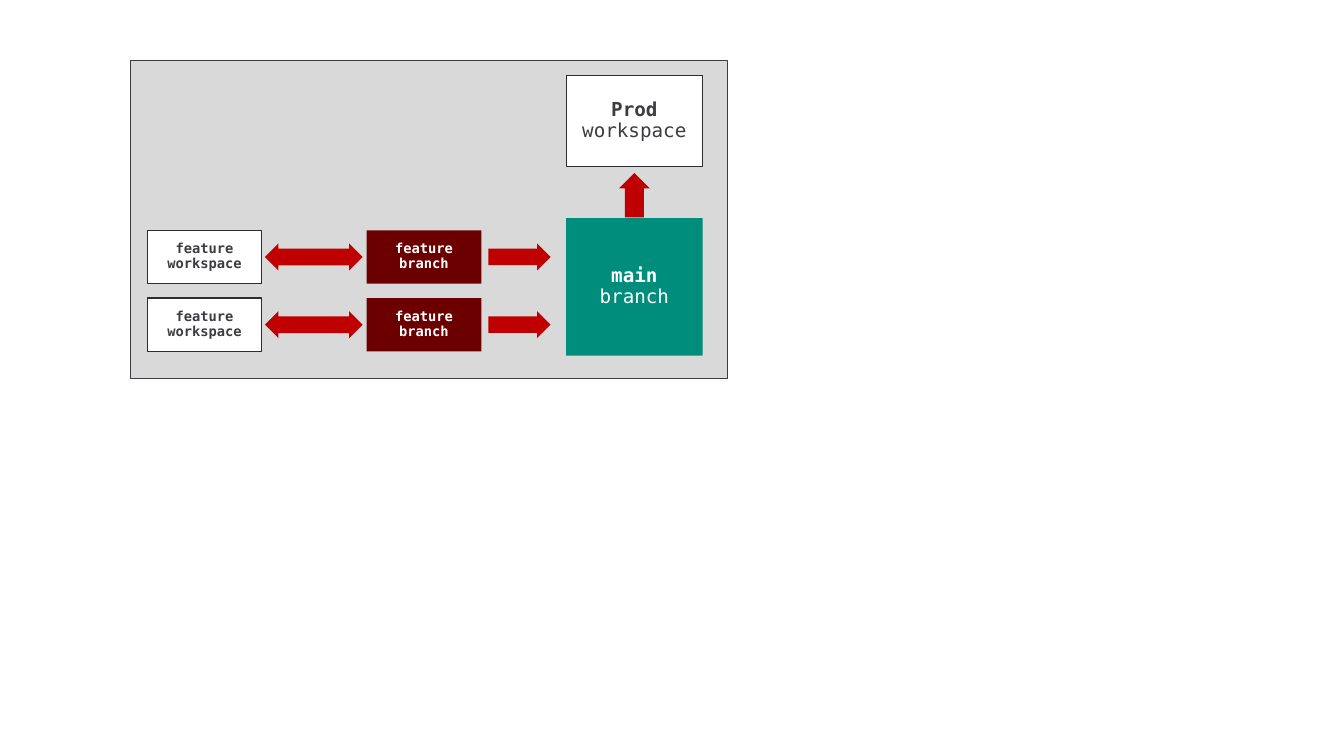
"""Build a slide showing how feature branches flow through main to production."""
import pptx
import pptx.dml.color
import pptx.enum.shapes
import pptx.enum.text
import pptx.util

Cm = pptx.util.Cm
Pt = pptx.util.Pt
RGBColor = pptx.dml.color.RGBColor
SHAPE = pptx.enum.shapes.MSO_SHAPE

WHITE = RGBColor(0xFF, 0xFF, 0xFF)
GREY = RGBColor(0xD9, 0xD9, 0xD9)
INK = RGBColor(0x3C, 0x3C, 0x41)
BORDER = RGBColor(0x2D, 0x2D, 0x31)
RED = RGBColor(0xC0, 0x00, 0x00)
MAROON = RGBColor(0x6C, 0x00, 0x00)
TEAL = RGBColor(0x00, 0x8D, 0x7B)

FONT = "DejaVu Sans Mono"
SLIDE_SIZE = (34.54, 19.43)
PANEL = (3.35, 1.55, 15.34, 8.18)

WORKSPACE = {"fill": WHITE, "line": BORDER, "ink": INK}
FEATURE_BRANCH = {"fill": MAROON, "line": None, "ink": WHITE}
MAIN_BRANCH = {"fill": TEAL, "line": None, "ink": WHITE}

FEATURE_ROWS = 2
FEATURE_TOP, FEATURE_PITCH = 5.92, 1.74
FEATURE_SIZE = (2.95, 1.37)
FEATURE_BOXES = [
    (3.78, ("feature", "workspace"), WORKSPACE),
    (9.42, ("feature", "branch"), FEATURE_BRANCH),
]
FEATURE_ARROW_HEIGHT = 0.69
FEATURE_ARROWS = [
    (6.81, 2.51, SHAPE.LEFT_RIGHT_ARROW, 0.626),
    (12.55, 1.6, SHAPE.RIGHT_ARROW, 0.614),
]

RELEASE_LEFT, RELEASE_WIDTH = 14.55, 3.51
RELEASE_BOXES = [
    (5.61, 3.53, ("main", "branch"), MAIN_BRANCH),
    (1.93, 2.36, ("Prod", "workspace"), WORKSPACE),
]
RELEASE_ARROW_TOP, RELEASE_ARROW_SIZE = 4.62, (1.14, 0.79)


def add_block(page, kind, area, fill, line=None):
    """Add a flat shape with an optional thin outline."""
    block = page.shapes.add_shape(kind, *map(Cm, area))
    block.shadow.inherit = False
    block.fill.solid()
    block.fill.fore_color.rgb = fill
    if line is None:
        block.line.fill.background()
    else:
        block.line.color.rgb = line
        block.line.width = Pt(0.75)
    return block


def add_box(page, area, words, style, size, bold_flags):
    """Add a labelled rectangle with one centred paragraph per word."""
    box = add_block(page, SHAPE.RECTANGLE, area, style["fill"], style["line"])
    frame = box.text_frame
    frame_format = {
        "margin_left": 0, "margin_top": 0, "margin_right": 0, "margin_bottom": 0,
        "word_wrap": True,
        "vertical_anchor": pptx.enum.text.MSO_ANCHOR.MIDDLE,
    }
    for name, value in frame_format.items():
        setattr(frame, name, value)
    for index, (word, bold) in enumerate(zip(words, bold_flags)):
        para = frame.add_paragraph() if index else frame.paragraphs[0]
        para.alignment = pptx.enum.text.PP_ALIGN.CENTER
        para.line_spacing = 0.9
        span = para.add_run()
        span.text = word
        for name, value in {"name": FONT, "size": Pt(size), "bold": bold}.items():
            setattr(span.font, name, value)
        span.font.color.rgb = style["ink"]


def add_arrow(page, area, kind, thickness):
    """Add a red block arrow with the given shaft thickness."""
    arrow = add_block(page, kind, area, RED)
    arrow.adjustments[0] = thickness
    arrow.adjustments[1] = 0.5
    return arrow


def main():
    """Lay out the branch diagram and save the deck."""
    deck = pptx.Presentation()
    deck.slide_width, deck.slide_height = map(Cm, SLIDE_SIZE)
    page = deck.slides.add_slide(deck.slide_layouts.get_by_name("Blank"))
    add_block(page, SHAPE.RECTANGLE, PANEL, GREY, INK)

    for row in range(FEATURE_ROWS):
        top = FEATURE_TOP + row * FEATURE_PITCH
        for left, words, style in FEATURE_BOXES:
            add_box(page, (left, top, *FEATURE_SIZE), words, style, 10, (True, True))
        arrow_top = top + (FEATURE_SIZE[1] - FEATURE_ARROW_HEIGHT) / 2
        for left, width, kind, thickness in FEATURE_ARROWS:
            area = (left, arrow_top, width, FEATURE_ARROW_HEIGHT)
            add_arrow(page, area, kind, thickness)

    for top, height, words, style in RELEASE_BOXES:
        area = (RELEASE_LEFT, top, RELEASE_WIDTH, height)
        add_box(page, area, words, style, 14, (True, False))
    arrow_left = RELEASE_LEFT + (RELEASE_WIDTH - RELEASE_ARROW_SIZE[0]) / 2
    area = (arrow_left, RELEASE_ARROW_TOP, *RELEASE_ARROW_SIZE)
    add_arrow(page, area, SHAPE.RIGHT_ARROW, 0.614).rotation = 270

    deck.save("out.pptx")


if __name__ == "__main__":
    main()
